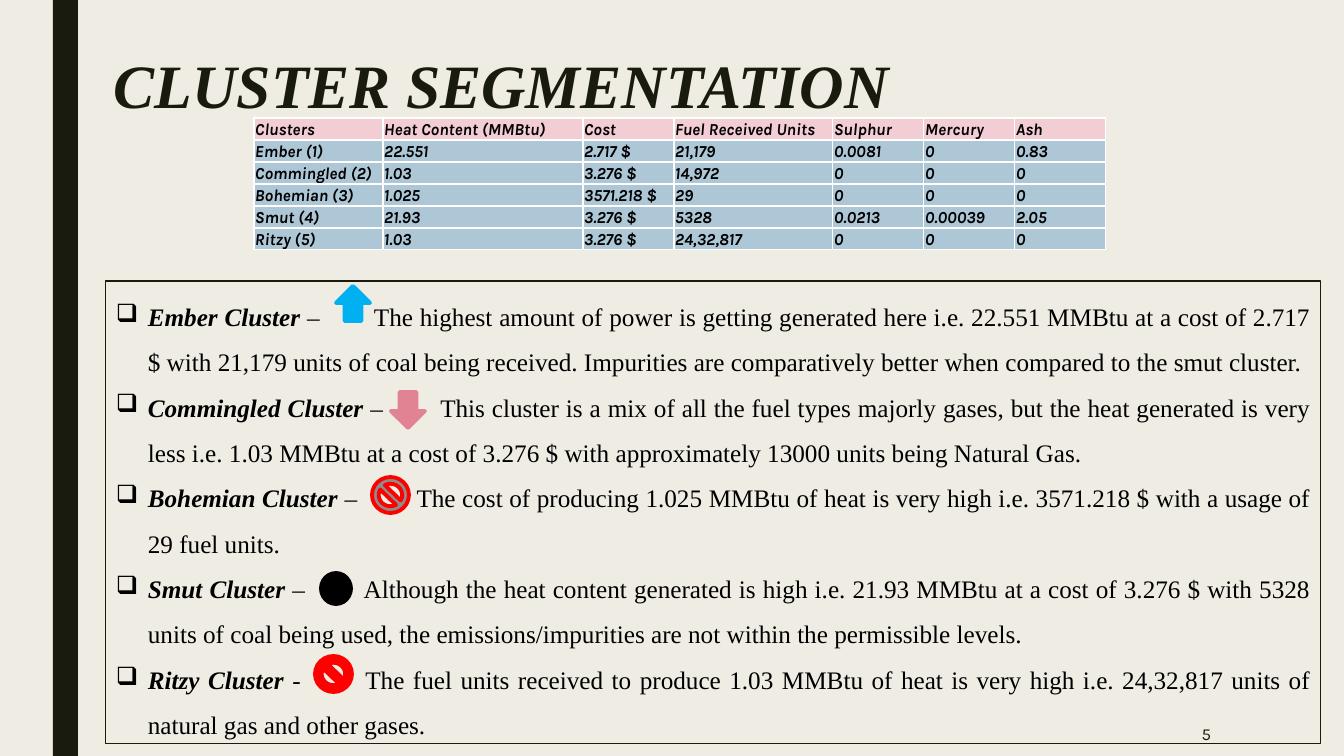
from dataclasses import dataclass

from lxml.etree import SubElement
from pptx import Presentation
from pptx.dml.color import RGBColor
from pptx.enum.shapes import MSO_SHAPE
from pptx.enum.text import MSO_ANCHOR, PP_ALIGN
from pptx.oxml.ns import qn
from pptx.util import Emu, Pt

EMU_PER_PX = 914400 / 100.8
INK, BLACK, RED, BLUE, PINK = "191B0E", "000000", "FF0000", "00B0F0", "E28394"
SERIF, SANS = "Times New Roman", "Karla"
TEXT_LEFT, HANGING = 116, 32

HEADING = {"name": SERIF, "size": Pt(44), "bold": True, "italic": True}
TABLE_TEXT = {"name": SANS, "size": Pt(12), "bold": True, "italic": True}
PAGE_NUMBER = {"name": SANS, "size": Pt(12)}
BODY = {"name": SERIF, "size": Pt(18), "bold": False, "italic": False}
CLUSTER_NAME = {**BODY, "bold": True, "italic": True}

COLUMN_WIDTHS = [129, 200, 91, 159, 91, 91, 91]
ROW_HEIGHT = 22
ROWS = [
    ["Clusters", "Heat Content (MMBtu)", "Cost", "Fuel Received Units", "Sulphur", "Mercury", "Ash"],
    ["Ember (1)", "22.551", "2.717 $", "21,179", "0.0081", "0", "0.83"],
    ["Commingled (2)", "1.03", "3.276 $", "14,972", "0", "0", "0"],
    ["Bohemian (3)", "1.025", "3571.218 $", "29", "0", "0", "0"],
    ["Smut (4)", "21.93", "3.276 $", "5328", "0.0213", "0.00039", "2.05"],
    ["Ritzy (5)", "1.03", "3.276 $", "24,32,817", "0", "0", "0"],
]


@dataclass
class Area:
    """A rectangle in px."""
    left: int
    top: int
    width: int
    height: int

    def emu(self) -> list[Emu]:
        """Give the four lengths in EMU."""
        return [px(n) for n in (self.left, self.top, self.width, self.height)]


@dataclass
class Icon:
    """A small marker beside a cluster name."""
    kind: MSO_SHAPE
    area: Area
    fill: str
    line: str
    rotation: int = 0


@dataclass
class Cluster:
    """A bullet: name, dash, and the px at which its text starts."""
    name: str
    dash: str
    text_start: int
    text: str
    icon: Icon


CLUSTERS = [
    Cluster("Ember Cluster ", "–", 373,
            "The highest amount of power is getting generated here i.e. 22.551 MMBtu at a cost of 2.717 $ "
            "with 21,179 units of coal being received. Impurities are comparatively better when compared "
            "to the smut cluster.",
            Icon(MSO_SHAPE.UP_ARROW, Area(336, 286, 34, 35), BLUE, BLUE)),
    Cluster("Commingled Cluster ", "–", 439,
            "This cluster is a mix of all the fuel types majorly gases, but the heat generated is very less "
            "i.e. 1.03 MMBtu at a cost of 3.276 $ with approximately 13000 units being Natural Gas.",
            Icon(MSO_SHAPE.UP_ARROW, Area(391, 392, 34, 36), PINK, PINK, 180)),
    Cluster("Bohemian Cluster ", "–", 416,
            "The cost of producing 1.025 MMBtu of heat is very high i.e. 3571.218 $ with a usage of "
            "29 fuel units.",
            Icon(MSO_SHAPE.NO_SYMBOL, Area(372, 477, 37, 36), "8C8D86", RED)),
    Cluster("Smut Cluster ", "–", 362,
            "Although the heat content generated is high i.e. 21.93 MMBtu at a cost of 3.276 $ with 5328 "
            "units of coal being used, the emissions/impurities are not within the permissible levels.",
            Icon(MSO_SHAPE.OVAL, Area(321, 573, 30, 31), BLACK, BLACK)),
    Cluster("Ritzy Cluster ", "-", 361,
            "The fuel units received to produce 1.03 MMBtu of heat is very high i.e. 24,32,817 units of "
            "natural gas and other gases.",
            Icon(MSO_SHAPE.NO_SYMBOL, Area(315, 656, 37, 36), RED, RED)),
]


def px(length: int) -> Emu:
    """Turn px into EMU."""
    return Emu(round(length * EMU_PER_PX))


def color(code: str) -> RGBColor:
    """Turn a hex string into a colour."""
    return RGBColor.from_string(code)


def paint(target, code: str) -> None:
    """Give a fill one solid colour."""
    target.fill.solid()
    target.fill.fore_color.rgb = color(code)


def add_span(para, text: str, style: dict, code: str) -> None:
    """Add a formatted run to a paragraph."""
    span = para.add_run()
    span.text = text
    for key, value in style.items():
        setattr(span.font, key, value)
    span.font.color.rgb = color(code)


def add_figure(page, kind: MSO_SHAPE, area: Area, fill: str = "", line: str = "", width: float = 2.75):
    """Draw a preset shape without a shadow."""
    figure = page.shapes.add_shape(kind, *area.emu())
    figure.shadow.inherit = False
    if fill:
        paint(figure, fill)
    else:
        figure.fill.background()
    if line:
        figure.line.color.rgb = color(line)
        figure.line.width = Pt(width)
    else:
        figure.line.fill.background()
    return figure


def add_label(page, area: Area, text: str, style: dict, align: PP_ALIGN, spacing: float = 1.0) -> None:
    """Draw one line of text, centred vertically."""
    frame = page.shapes.add_textbox(*area.emu()).text_frame
    frame.word_wrap = True
    frame.vertical_anchor = MSO_ANCHOR.MIDDLE
    para = frame.paragraphs[0]
    para.alignment, para.line_spacing = align, spacing
    add_span(para, text, style, INK)


def fill_cell(cell, text: str, fill: str) -> None:
    """Write, paint and border one table cell."""
    margins = {"margin_left": px(1), "margin_top": px(1), "margin_right": px(1), "margin_bottom": 0}
    for key, value in {**margins, "vertical_anchor": MSO_ANCHOR.BOTTOM}.items():
        setattr(cell, key, value)
    add_span(cell.text_frame.paragraphs[0], text, TABLE_TEXT, BLACK)
    properties = cell._tc.get_or_add_tcPr()
    for side in ("a:lnL", "a:lnR", "a:lnT", "a:lnB"):
        border = SubElement(properties, qn(side), w=str(Pt(1)))
        SubElement(SubElement(border, qn("a:solidFill")), qn("a:srgbClr"), val="FFFFFF")
    paint(cell, fill)


def add_cluster_table(page) -> None:
    """Draw the table of cluster values."""
    area = Area(254, 118, sum(COLUMN_WIDTHS), ROW_HEIGHT * len(ROWS))
    table = page.shapes.add_table(len(ROWS), len(COLUMN_WIDTHS), *area.emu()).table
    for column, width in zip(table.columns, COLUMN_WIDTHS):
        column.width = px(width)
    for index, values in enumerate(ROWS):
        table.rows[index].height = px(ROW_HEIGHT)
        for cell, value in zip(table.rows[index].cells, values):
            fill_cell(cell, value, "ADC7D6" if index else "F3CDD4")


def add_cluster_para(para, cluster: Cluster) -> None:
    """Write one bullet, with a tab stop that leaves room for its icon."""
    para.alignment, para.line_spacing = PP_ALIGN.JUSTIFY, 1.5
    properties = para._p.get_or_add_pPr()
    properties.set("marL", str(px(HANGING)))
    properties.set("indent", str(-px(HANGING)))
    SubElement(properties, qn("a:buChar"), char="❑")
    stop = str(px(cluster.text_start - TEXT_LEFT))
    SubElement(SubElement(properties, qn("a:tabLst")), qn("a:tab"), pos=stop, algn="l")
    add_span(para, cluster.name, CLUSTER_NAME, BLACK)
    add_span(para, f"{cluster.dash}\t{cluster.text}", BODY, BLACK)


def main() -> None:
    """Build the slide and save it."""
    deck = Presentation()
    deck.slide_width, deck.slide_height = px(1344), px(756)
    page = deck.slides.add_slide(deck.slide_layouts[6])
    paint(page.background, "EFEDE3")
    add_figure(page, MSO_SHAPE.RECTANGLE, Area(53, 0, 25, 756), INK)
    add_label(page, Area(104, -16, 1058, 163), "CLUSTER SEGMENTATION", HEADING, PP_ALIGN.JUSTIFY, 1.5)
    add_cluster_table(page)
    add_label(page, Area(1044, 712, 177, 44), "5", PAGE_NUMBER, PP_ALIGN.RIGHT)
    box = add_figure(page, MSO_SHAPE.RECTANGLE, Area(106, 281, 1215, 463), line=INK, width=0.75)
    frame = box.text_frame
    frame.word_wrap = True
    frame.vertical_anchor = MSO_ANCHOR.TOP
    for index, cluster in enumerate(CLUSTERS):
        add_cluster_para(frame.add_paragraph() if index else frame.paragraphs[0], cluster)
        icon = cluster.icon
        add_figure(page, icon.kind, icon.area, icon.fill, icon.line).rotation = icon.rotation
    deck.save("out.pptx")


if __name__ == "__main__":
    main()
